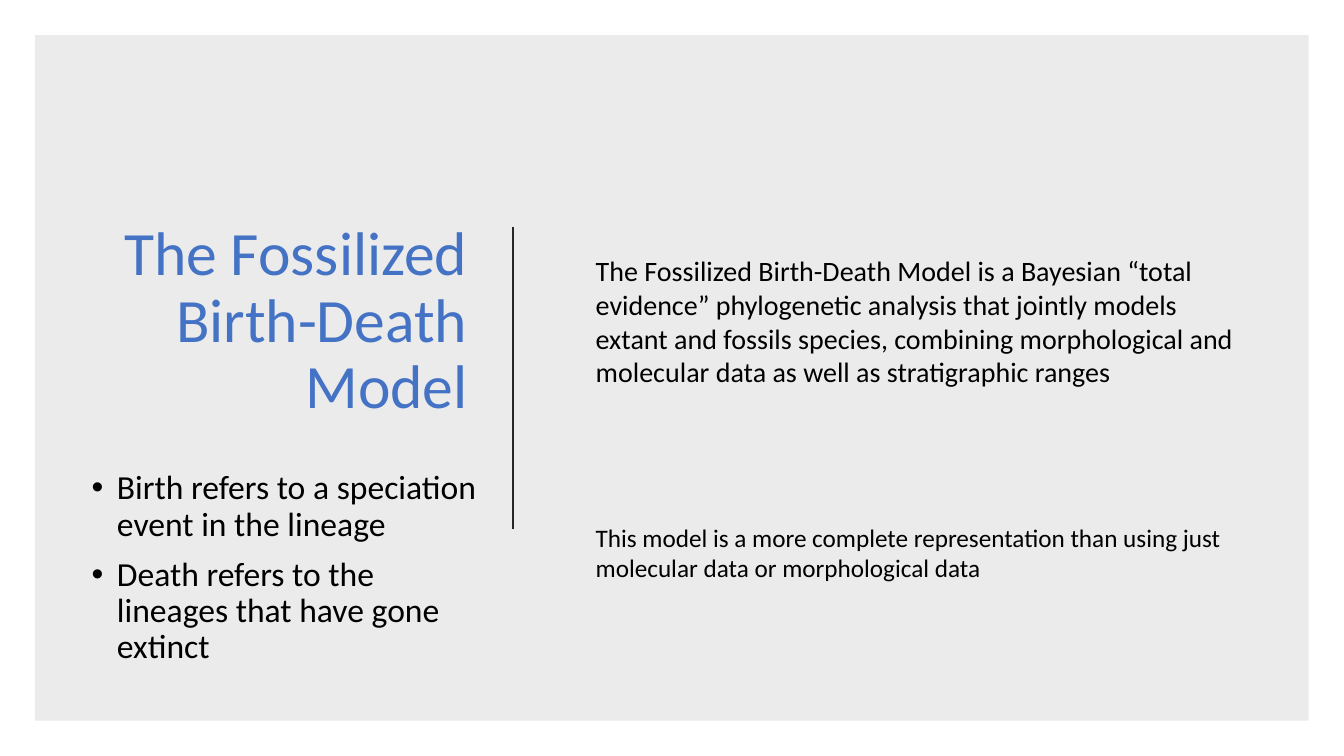
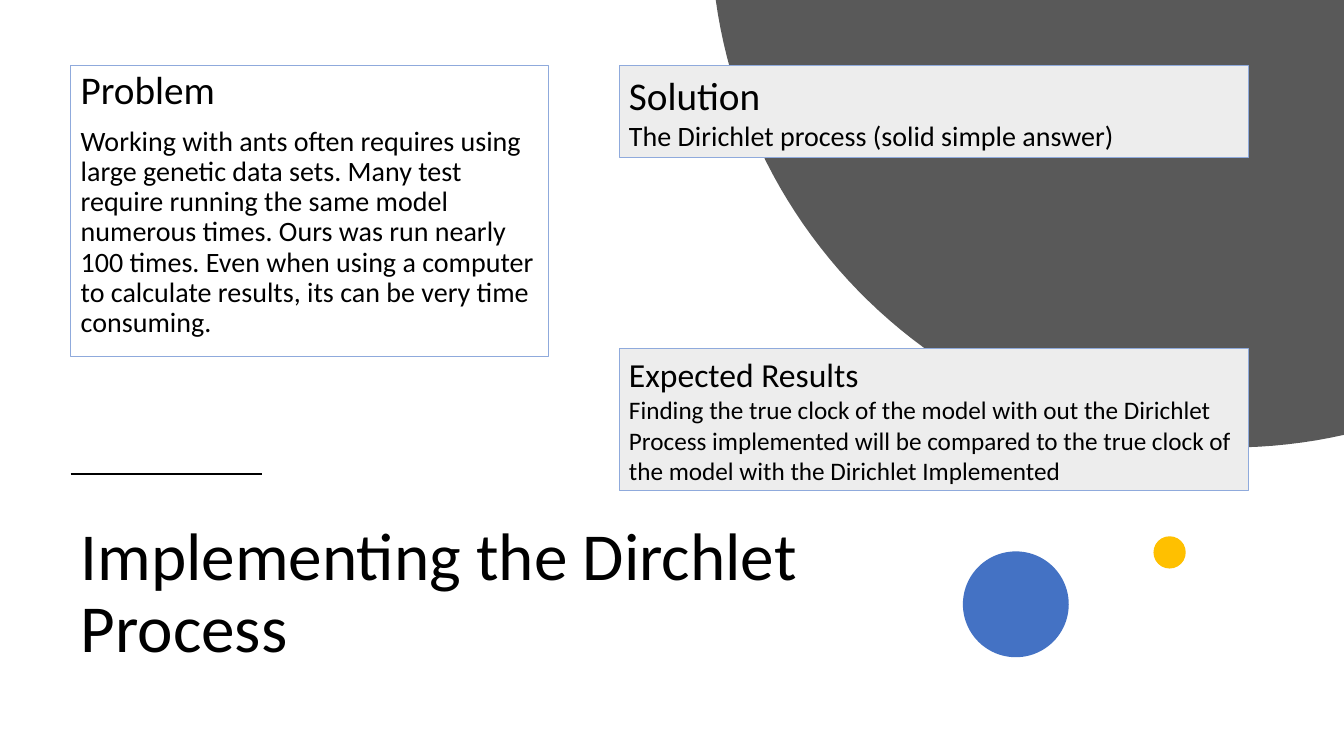
"""Two slides on the fossilized birth-death model and the Dirichlet process."""
from math import cos, radians, sin

from lxml.etree import SubElement
from pptx import Presentation
from pptx.dml.color import RGBColor
from pptx.enum.shapes import MSO_CONNECTOR, MSO_SHAPE
from pptx.enum.text import MSO_ANCHOR, MSO_AUTO_SIZE, PP_ALIGN
from pptx.oxml.ns import qn
from pptx.util import Inches, Pt

MODEL_TITLE = "The Fossilized Birth-Death Model"
MODEL_TERMS = [
    ("Birth refers to a speciation event in the lineage", 24),
    ("Death refers to the lineages that have gone extinct", 24),
]
MODEL_NOTES = [
    ("The Fossilized Birth-Death Model is a Bayesian “total evidence” phylogenetic "
     "analysis that jointly models extant and fossils species, combining morphological "
     "and molecular data as well as stratigraphic ranges", 20, 2.47, 1.45),
    ("This model is a more complete representation than using just molecular data or "
     "morphological data", 18, 5.13, 0.71),
]
PROCESS_TITLE = "Implementing the Dirchlet Process"
PROBLEM = [
    ("Problem", 28),
    ("Working with ants often requires using large genetic data sets. Many test require "
     "running the same model numerous times. Ours was run nearly 100 times. Even when "
     "using a computer to calculate results, its can be very time consuming.", 20),
]
SOLUTION = [("Solution", 28), ("The Dirichlet process (solid simple answer)", 20)]
RESULTS = [
    ("Expected Results", 24),
    ("Finding the true clock of the model with out the Dirichlet Process implemented will "
     "be compared to the true clock of the model with the Dirichlet Implemented", 18),
]

FONT = "Calibri"
BLACK = RGBColor(0x00, 0x00, 0x00)
CHARCOAL = RGBColor(0x26, 0x26, 0x26)
GRAY = RGBColor(0x59, 0x59, 0x59)
PALE = RGBColor(0xED, 0xED, 0xED)
BLUE = RGBColor(0x44, 0x72, 0xC4)
LIGHT_BLUE = RGBColor(0x8F, 0xAA, 0xDC)
GOLD = RGBColor(0xFF, 0xC0, 0x00)

WIDTH, HEIGHT = 13.33, 7.5
MARGIN = 0.35
LEFT, TOP = 2 * MARGIN, 0.65
NOTE_LEFT, NOTE_WIDTH = 5.81, 6.61
CARD_LEFT, CARD_WIDTH = 6.14, 6.24
ARC_X, ARC_Y, ARC_RADIUS = 12.2, -0.71, 5.15
ARC_START, ARC_END, ARC_STEPS = 77.33, 172.07, 60


def place(shape, left, top, width, height):
    shape.left, shape.top = Inches(left), Inches(top)
    shape.width, shape.height = Inches(width), Inches(height)


def write(shape, lines, color=BLACK, align=PP_ALIGN.LEFT, anchor=MSO_ANCHOR.TOP,
          spacing=1.0, before=0, bullet=False):
    frame = shape.text_frame
    frame.word_wrap = True
    frame.auto_size = MSO_AUTO_SIZE.NONE
    frame.vertical_anchor = anchor
    for index, (text, size) in enumerate(lines):
        para = frame.paragraphs[0] if index == 0 else frame.add_paragraph()
        para.text = text
        para.alignment = align
        para.line_spacing = spacing
        para.space_before = Pt(before)
        para.font.name, para.font.size = FONT, Pt(size)
        para.font.color.rgb = color
        set_bullet(para, bullet)


def set_bullet(para, bullet):
    properties = para._p.get_or_add_pPr()
    indent = Inches(0.25) if bullet else 0
    properties.set("marL", str(indent))
    properties.set("indent", str(-indent))
    mark = properties.makeelement(qn("a:buChar" if bullet else "a:buNone"))
    if bullet:
        mark.set("char", "•")
    properties.find(qn("a:defRPr")).addprevious(mark)


def outline(shape):
    shape.line.color.rgb = LIGHT_BLUE
    shape.line.width = Pt(0.75)


def add_filled(page, kind, box, color):
    shape = page.shapes.add_shape(kind, *map(Inches, box))
    fill_plain(shape, color)
    return shape


def fill_plain(shape, color):
    shape.shadow.inherit = False
    shape.fill.solid()
    shape.fill.fore_color.rgb = color
    shape.line.fill.background()


def add_rule(page, start, end, color):
    rule = page.shapes.add_connector(MSO_CONNECTOR.STRAIGHT, *map(Inches, start + end))
    rule.line.color.rgb = color
    rule.line.width = Pt(1.5)
    SubElement(rule.element.spPr, qn("a:effectLst"))


def add_page(deck, title, size, box, color=BLACK, align=PP_ALIGN.LEFT):
    page = deck.slides.add_slide(deck.slide_layouts[1])
    place(page.shapes.title, *box)
    write(page.shapes.title, [(title, size)], color, align, MSO_ANCHOR.MIDDLE, 0.9)
    return page, page.placeholders[1]


def add_card(page, lines, top, height):
    card = add_filled(page, MSO_SHAPE.RECTANGLE, (CARD_LEFT, top, CARD_WIDTH, height), PALE)
    outline(card)
    write(card, lines, anchor=MSO_ANCHOR.MIDDLE)


def add_arc(page):
    angles = [radians(ARC_START + (ARC_END - ARC_START) * step / ARC_STEPS)
              for step in range(ARC_STEPS + 1)]
    points = [(Inches(ARC_X + ARC_RADIUS * cos(angle)),
               Inches(ARC_Y + ARC_RADIUS * sin(angle))) for angle in angles]
    builder = page.shapes.build_freeform(Inches(WIDTH), 0)
    builder.add_line_segments(points, close=True)
    fill_plain(builder.convert_to_shape(), GRAY)


def build_model(deck):
    page, terms = add_page(deck, MODEL_TITLE, 44, (0.92, 0.5, 3.82, 5.39), BLUE, PP_ALIGN.RIGHT)
    panel = add_filled(page, MSO_SHAPE.RECTANGLE,
                       (MARGIN, MARGIN, WIDTH - 2 * MARGIN, HEIGHT - 2 * MARGIN), BLACK)
    tint = panel.element.spPr.find(qn("a:solidFill"))[0]
    SubElement(tint, qn("a:alpha"), val="8000")
    page.shapes.title.element.addprevious(panel.element)
    add_rule(page, (5.09, 0.3 * HEIGHT), (5.09, 0.7 * HEIGHT), CHARCOAL)
    place(terms, 0.81, 4.54, 4.03, 2.7)
    write(terms, MODEL_TERMS, anchor=MSO_ANCHOR.MIDDLE, spacing=0.9, before=10, bullet=True)
    terms.text_frame.margin_bottom = Inches(0.55)
    for text, size, top, height in MODEL_NOTES:
        note = page.shapes.add_textbox(*map(Inches, (NOTE_LEFT, top, NOTE_WIDTH, height)))
        write(note, [(text, size)])


def build_process(deck):
    page, problem = add_page(deck, PROCESS_TITLE, 48, (LEFT, 4.95, 8.1, 1.9))
    add_arc(page)
    add_rule(page, (LEFT, 4.7), (LEFT + 1.9, 4.7), BLACK)
    for left, top, size, color in [(9.55, 5.47, 1.05, BLUE), (11.44, 5.32, 0.32, GOLD)]:
        add_filled(page, MSO_SHAPE.OVAL, (left, top, size, size), color)
    place(problem, LEFT, TOP, 4.74, 2.89)
    outline(problem)
    write(problem, PROBLEM, spacing=0.9, before=10)
    add_card(page, SOLUTION, TOP, 0.91)
    add_card(page, RESULTS, 3.46, 1.41)


deck = Presentation()
deck.slide_width, deck.slide_height = Inches(WIDTH), Inches(HEIGHT)
build_model(deck)
build_process(deck)
deck.save("out.pptx")
